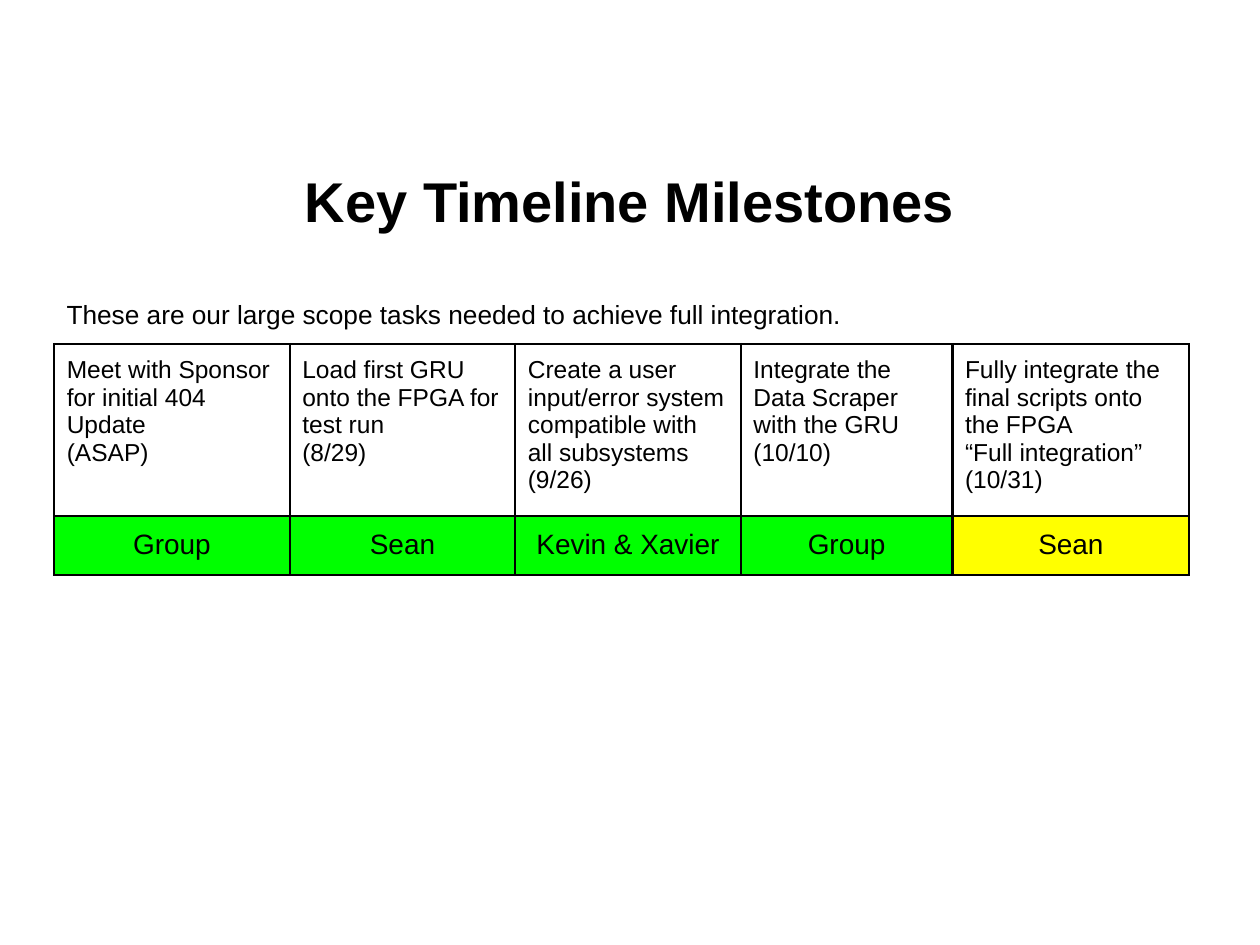
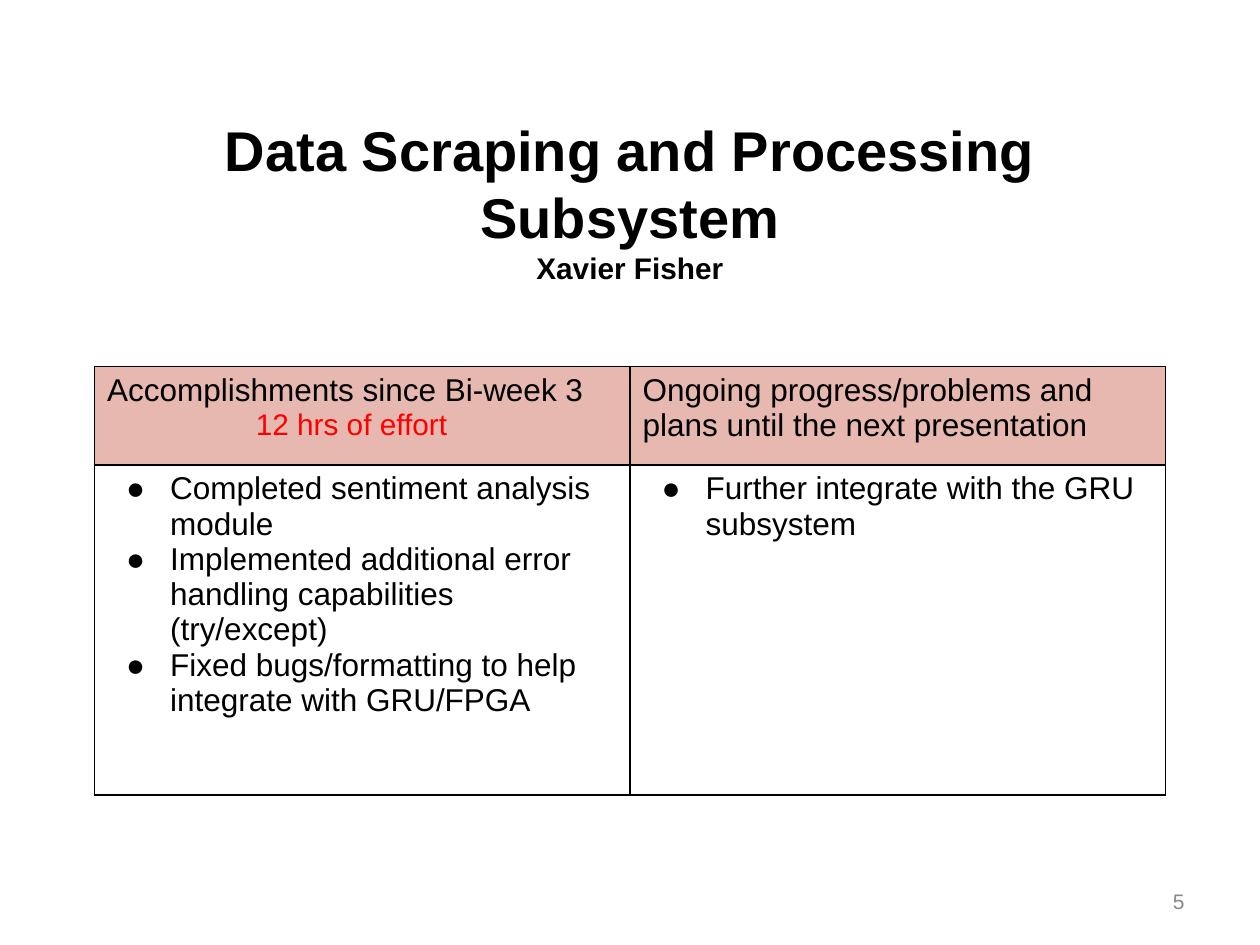
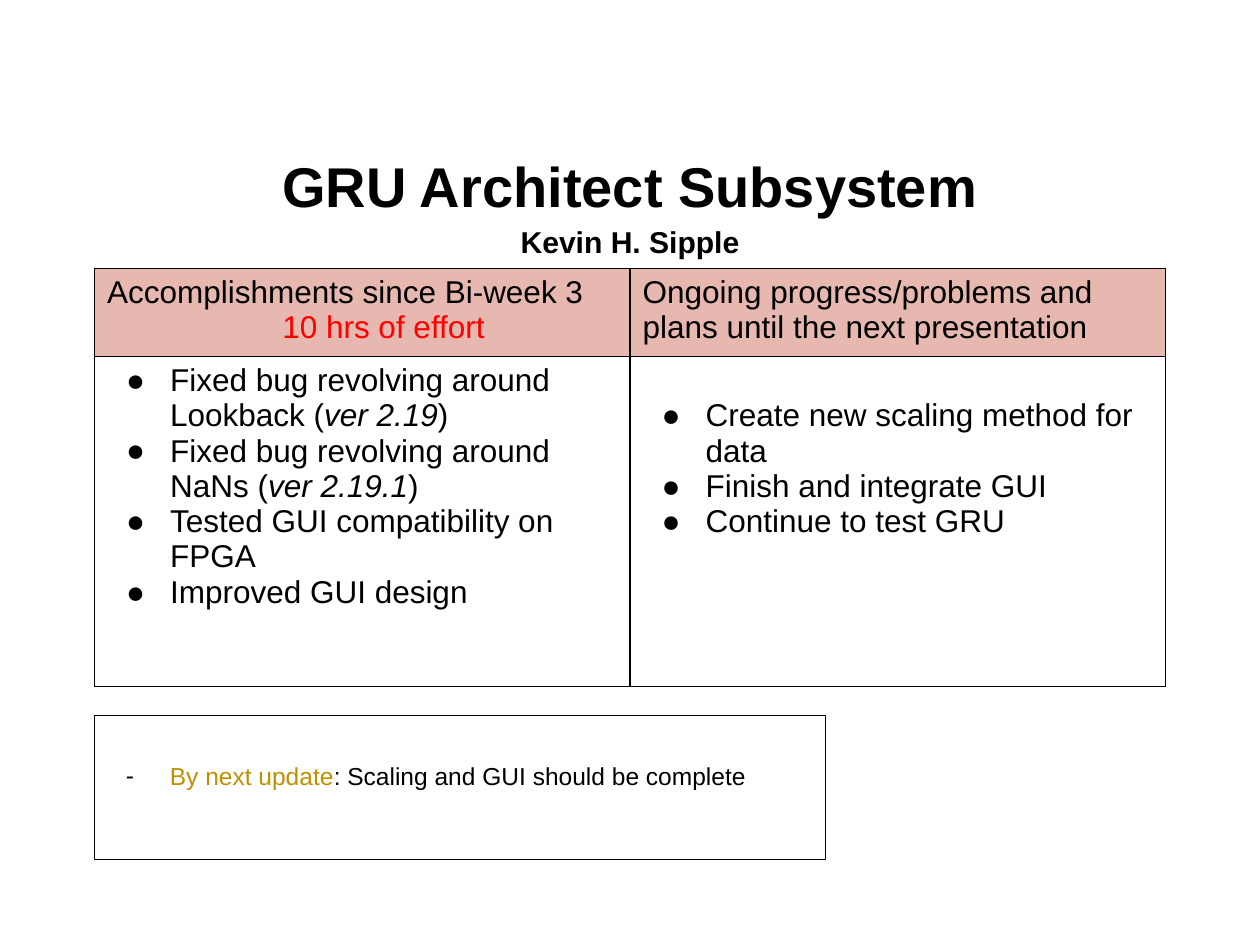
from dataclasses import dataclass

from lxml.etree import SubElement
from pptx import Presentation
from pptx.dml.color import RGBColor
from pptx.enum.shapes import MSO_SHAPE
from pptx.enum.text import MSO_ANCHOR, PP_ALIGN
from pptx.oxml.ns import qn
from pptx.util import Inches, Pt

FONT = "Arial"
BLACK = RGBColor(0x00, 0x00, 0x00)
GRAY = RGBColor(0x88, 0x88, 0x88)
RED = RGBColor(0xFF, 0x00, 0x00)
GOLD = RGBColor(0xBF, 0x90, 0x00)
GREEN = RGBColor(0x00, 0xFF, 0x00)
YELLOW = RGBColor(0xFF, 0xFF, 0x00)
ROSE = RGBColor(0xE6, 0xB8, 0xAF)

SLIDE_WIDTH, SLIDE_HEIGHT = 10, 7.5
TITLE_BOX = (0.5, 1.15, 9, 0.88)
REPORT_LEFT = 0.75
REPORT_COLUMNS = [(SLIDE_WIDTH - 2 * REPORT_LEFT) / 2] * 2
BULLET_INDENT, BULLET_HANG = 0.5, -0.35


@dataclass
class Line:
    """One paragraph; text is a string or a list of (text, style) runs."""
    text: object
    size: float = 18
    color: RGBColor = BLACK
    bold: bool = False
    align: PP_ALIGN = PP_ALIGN.LEFT
    bullet: str = ""
    indent: float = 0
    spacing: float = 1.0


MILESTONES = [
    (["Meet with Sponsor for initial 404 Update", "(ASAP)"], "Group", GREEN),
    (["Load first GRU onto the FPGA for test run", "(8/29)"], "Sean", GREEN),
    (["Create a user input/error system compatible with all subsystems", "(9/26)"],
     "Kevin & Xavier", GREEN),
    (["Integrate the Data Scraper with the GRU", "(10/10)"], "Group", GREEN),
    (["Fully integrate the final scripts onto the FPGA", "“Full integration”", "(10/31)"],
     "Sean", YELLOW),
]
MILESTONE_COLUMNS = [1.87, 1.79, 1.79, 1.68, 1.88]

REPORTS = [
    {
        "title": "Data Scraping and Processing Subsystem",
        "presenter": ("Xavier Fisher", 17),
        "title_spacing": 1.0,
        "effort": Line("12 hrs of effort", size=17, color=RED, indent=1.18),
        "done": ["Completed sentiment analysis module",
                 "Implemented additional error handling capabilities (try/except)",
                 "Fixed bugs/formatting to help integrate with GRU/FPGA"],
        "next": ["Further integrate with the GRU subsystem"],
        "top": 2.91, "rows": [0.78, 2.62], "next_inset": 0.05,
        "page": "5",
    },
    {
        "title": "GRU Architect Subsystem",
        "presenter": ("Kevin H. Sipple", 17.2),
        "title_spacing": 1.15,
        "effort": Line("10 hrs of effort", color=RED, indent=1.39),
        "done": [[("Fixed bug revolving around Lookback (", {}),
                  ("ver 2.19", {"italic": True}), (")", {})],
                 [("Fixed bug revolving around NaNs (", {}),
                  ("ver 2.19.1", {"italic": True}), (")", {})],
                 "Tested GUI compatibility on FPGA",
                 "Improved GUI design"],
        "next": ["Create new scaling method for data",
                 "Finish and integrate GUI",
                 "Continue to test GRU"],
        "top": 2.13, "rows": [0.7, 2.62], "next_inset": 0.33,
        "note": [("By next update", {"color": GOLD}),
                 (": Scaling and GUI should be complete", {})],
    },
]


def bulleted(texts):
    return [Line(text, bullet="●") for text in texts]


def set_bullet(paragraph, character):
    properties = paragraph._p.get_or_add_pPr()
    properties.set("marL", str(Inches(BULLET_INDENT)))
    properties.set("indent", str(Inches(BULLET_HANG)))
    color = SubElement(SubElement(properties, qn("a:buClr")), qn("a:srgbClr"))
    color.set("val", str(BLACK))
    SubElement(properties, qn("a:buFont")).set("typeface", FONT)
    SubElement(properties, qn("a:buChar")).set("char", character)


def write(frame, lines):
    frame.word_wrap = True
    for index, line in enumerate(lines):
        paragraph = frame.paragraphs[0] if index == 0 else frame.add_paragraph()
        paragraph.alignment = line.align
        paragraph.line_spacing = line.spacing
        if line.bullet:
            set_bullet(paragraph, line.bullet)
        elif line.indent:
            paragraph._p.get_or_add_pPr().set("marL", str(Inches(line.indent)))
        paragraph.font.name = FONT
        paragraph.font.size = Pt(line.size)
        paragraph.font.bold = line.bold
        paragraph.font.color.rgb = line.color
        runs = [(line.text, {})] if isinstance(line.text, str) else line.text
        for text, style in runs:
            run = paragraph.add_run()
            run.text = text
            run.font.name = FONT
            run.font.size = Pt(line.size)
            run.font.bold = line.bold
            run.font.italic = style.get("italic", False)
            run.font.color.rgb = style.get("color", line.color)


def add_text(slide, box, lines, anchor=MSO_ANCHOR.TOP):
    frame = slide.shapes.add_textbox(*map(Inches, box)).text_frame
    frame.vertical_anchor = anchor
    write(frame, lines)


def add_title(slide, *lines, spacing=1.0):
    add_text(slide, TITLE_BOX,
             [Line(text, size, bold=True, align=PP_ALIGN.CENTER, spacing=spacing)
              for text, size in lines], MSO_ANCHOR.MIDDLE)


def set_borders(cell, width):
    properties = cell._tc.get_or_add_tcPr()
    for index, side in enumerate(("lnL", "lnR", "lnT", "lnB")):
        border = properties.makeelement(qn(f"a:{side}"), {"w": str(Pt(width))})
        fill = SubElement(border, qn("a:solidFill"))
        SubElement(fill, qn("a:srgbClr")).set("val", str(BLACK))
        properties.insert(index, border)


def add_grid(slide, left, top, columns, rows, cells, border, inset):
    """Draw a table; each cell is (lines, fill or None, top inset)."""
    table = slide.shapes.add_table(
        len(rows), len(columns), Inches(left), Inches(top),
        Inches(sum(columns)), Inches(sum(rows))).table
    table.first_row = table.horz_banding = False
    for column, width in zip(table.columns, columns):
        column.width = Inches(width)
    for row, height, contents in zip(table.rows, rows, cells):
        row.height = Inches(height)
        for cell, (lines, fill, top_inset) in zip(row.cells, contents):
            cell.margin_left = cell.margin_right = Inches(0.1)
            cell.margin_top, cell.margin_bottom = Inches(top_inset), Inches(inset)
            if fill is None:
                cell.fill.background()
            else:
                cell.fill.solid()
                cell.fill.fore_color.rgb = fill
            set_borders(cell, border)
            write(cell.text_frame, lines)


def build_milestones(slide):
    left, inset = 0.43, 0.1
    add_title(slide, ("Key Timeline Milestones", 32))
    add_text(slide, (left, 2.32, 9, 0.34), [Line(
        "These are our large scope tasks needed to achieve full integration.", size=15)])
    tasks = [([Line(text, size=14) for text in texts], None, inset)
             for texts, _, _ in MILESTONES]
    owners = [([Line(owner, size=16, align=PP_ALIGN.CENTER)], status, inset)
              for _, owner, status in MILESTONES]
    add_grid(slide, left, 2.73, MILESTONE_COLUMNS, [1.29, 0.45],
             [tasks, owners], 1.5, inset)


def add_note(slide, runs):
    box = slide.shapes.add_shape(
        MSO_SHAPE.RECTANGLE, *map(Inches, (REPORT_LEFT, 5.68, 5.8, 1.14)))
    box.shadow.inherit = False
    box.fill.background()
    box.line.color.rgb = BLACK
    box.line.width = Pt(0.75)
    box.text_frame.vertical_anchor = MSO_ANCHOR.TOP
    box.text_frame.margin_top = Inches(0.36)
    write(box.text_frame, [Line(runs, size=14, bullet="-")])


def build_report(slide, report):
    inset = 0.05
    add_title(slide, (report["title"], 32), report["presenter"],
              spacing=report["title_spacing"])
    headings = [
        ([Line("Accomplishments since Bi-week 3"), report["effort"]], ROSE, inset),
        ([Line("Ongoing progress/problems and plans until the next presentation")],
         ROSE, inset),
    ]
    details = [(bulleted(report["done"]), None, inset),
               (bulleted(report["next"]), None, report["next_inset"])]
    add_grid(slide, REPORT_LEFT, report["top"], REPORT_COLUMNS, report["rows"],
             [headings, details], 1, inset)
    if "note" in report:
        add_note(slide, report["note"])
    if "page" in report:
        add_text(slide, (7.17, 6.95, 2.33, 0.4),
                 [Line(report["page"], size=12, color=GRAY, align=PP_ALIGN.RIGHT)],
                 MSO_ANCHOR.MIDDLE)


def main():
    presentation = Presentation()
    presentation.slide_width = Inches(SLIDE_WIDTH)
    presentation.slide_height = Inches(SLIDE_HEIGHT)
    blank = presentation.slide_layouts[6]
    build_milestones(presentation.slides.add_slide(blank))
    for report in REPORTS:
        build_report(presentation.slides.add_slide(blank), report)
    presentation.save("out.pptx")


if __name__ == "__main__":
    main()
